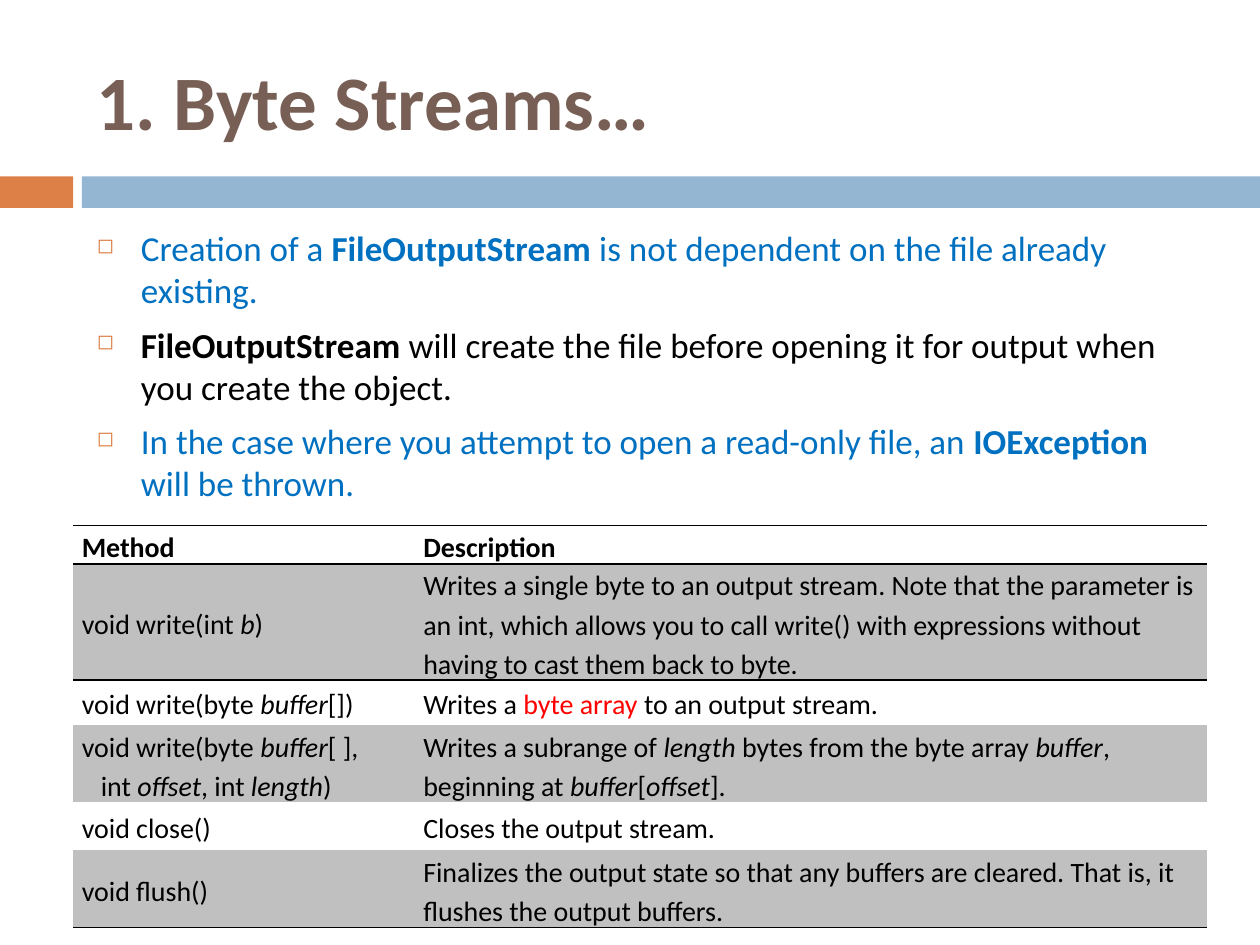
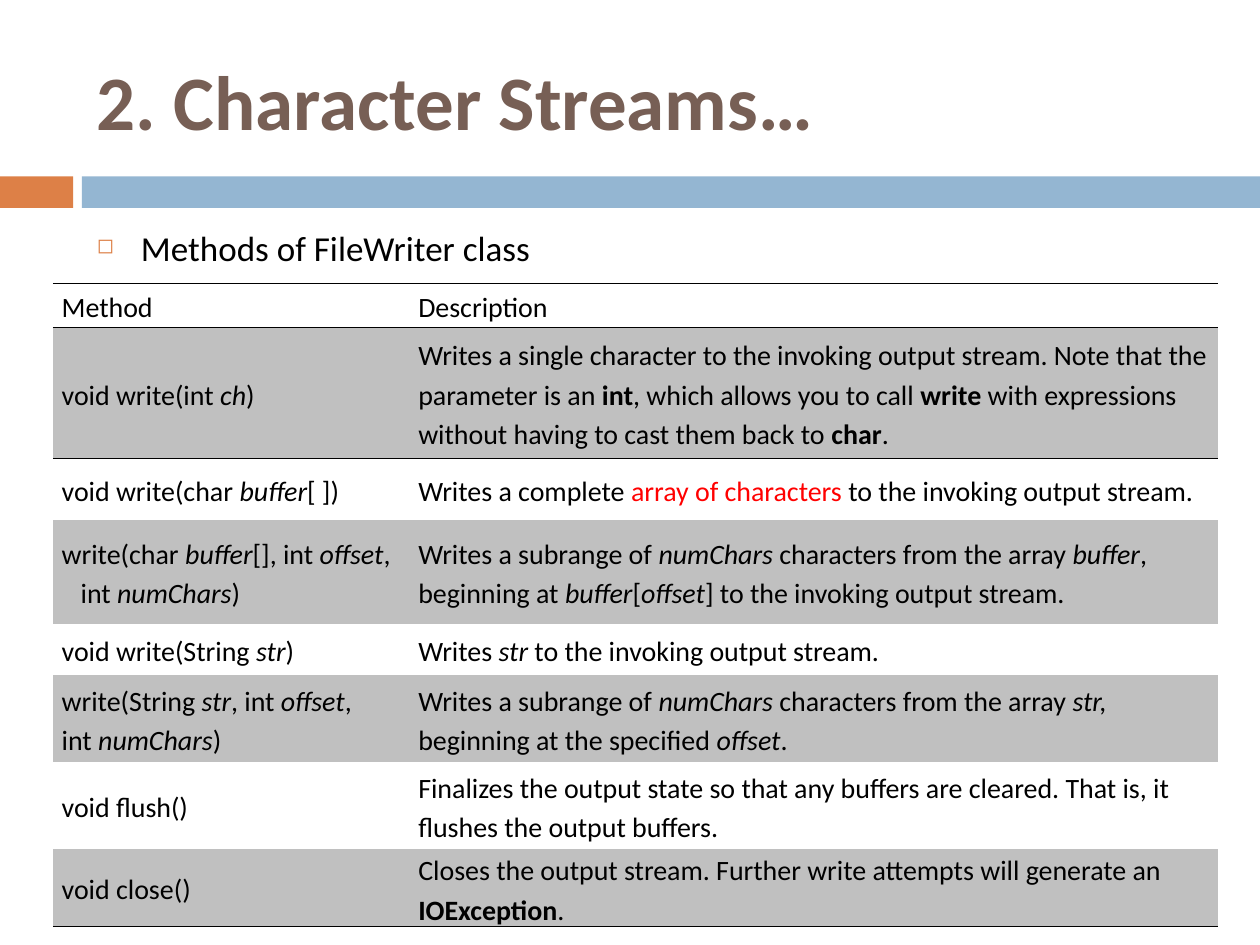
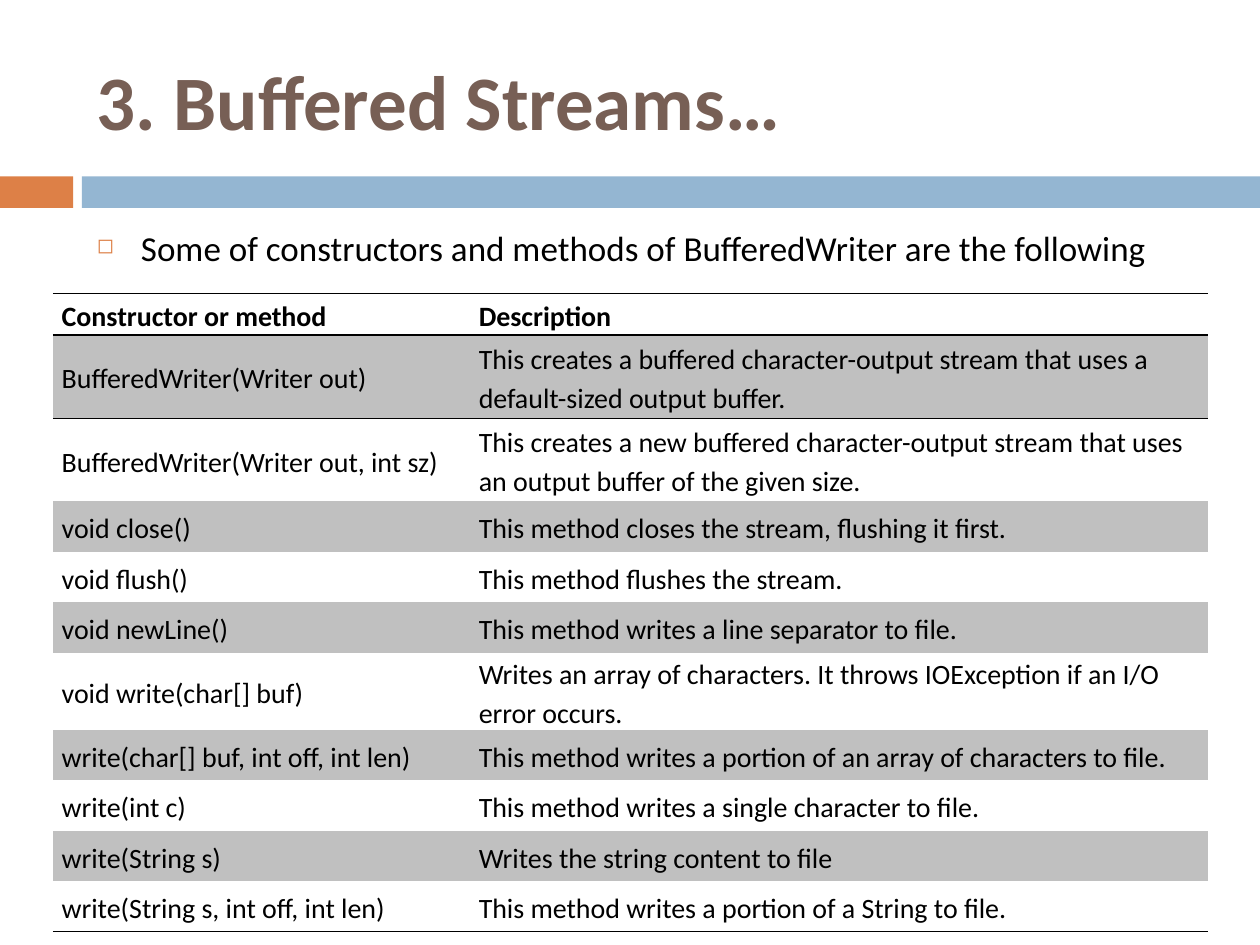
"""Build three slides on the methods of output streams."""
from dataclasses import dataclass
from typing import NamedTuple

from lxml.etree import SubElement as Sub
from pptx import Presentation
from pptx.dml.color import RGBColor
from pptx.enum.shapes import MSO_SHAPE as Shape
from pptx.enum.text import MSO_ANCHOR as Anchor
from pptx.oxml.ns import qn
from pptx.util import Inches, Length, Pt

BLACK = RGBColor(0x00, 0x00, 0x00)
WHITE = RGBColor(0xFF, 0xFF, 0xFF)
BLUE = RGBColor(0x00, 0x70, 0xC0)
RED = RGBColor(0xFF, 0x00, 0x00)
GREY = RGBColor(0xC0, 0xC0, 0xC0)
BROWN = RGBColor(0x77, 0x5F, 0x55)
ORANGE = RGBColor(0xDD, 0x80, 0x47)
SKY = RGBColor(0x94, 0xB6, 0xD2)
FONT = "Calibri"
PLAIN_STYLE = "{2D5ABB26-0587-4C30-8999-92F81FD0307C}"


class Run(NamedTuple):
    """A piece of text in one style."""
    text: str
    bold: bool = False
    slant: bool = False
    color: RGBColor = BLACK


class Para(NamedTuple):
    """A line of runs with a left indent."""
    runs: tuple[Run, ...]
    indent: Length = Inches(0)


class Band(NamedTuple):
    """A filled bar below the title."""
    left: Length
    width: Length
    color: RGBColor


class Row(NamedTuple):
    """A table row: height, method and what it does."""
    height: float
    name: tuple[Para, ...]
    note: tuple[Para, ...]


@dataclass(frozen=True)
class Grid:
    """A table with its place, column widths and rows."""
    left: float
    top: float
    cols: tuple[float, float]
    rows: list[Row]


@dataclass(frozen=True)
class Page:
    """All that differs from slide to slide."""
    title: str
    points: list[Para]
    grid: Grid


BANDS = (
    Band(Inches(0), Inches(0.58), ORANGE),
    Band(Inches(0.65), Inches(9.35), SKY),
)


def bold(text: str, color: RGBColor = BLACK) -> Run:
    """Return a bold run."""
    return Run(text, bold=True, color=color)


def slant(text: str) -> Run:
    """Return an italic run."""
    return Run(text, slant=True)


def red(text: str) -> Run:
    """Return a red run."""
    return Run(text, color=RED)


def blue(text: str) -> Run:
    """Return a blue run."""
    return Run(text, color=BLUE)


def line(*parts: str | Run, indent: float = 0) -> Para:
    """Return a paragraph of plain strings and styled runs."""
    runs = tuple(Run(part) if isinstance(part, str) else part for part in parts)
    return Para(runs, Inches(indent))


def cell(*parts: str | Run) -> tuple[Para, ...]:
    """Return cell text of one paragraph."""
    return (line(*parts),)


def plain(height: float, name: str, note: str) -> Row:
    """Return a row of unstyled text."""
    return Row(height, cell(name), cell(note))


def add_runs(target, runs: tuple[Run, ...], size: int) -> None:
    """Write runs into a paragraph."""
    for run in runs:
        piece = target.add_run()
        piece.text = run.text
        font = piece.font
        font.name, font.size = FONT, Pt(size)
        font.bold, font.italic = run.bold, run.slant
        font.color.rgb = run.color


def next_para(frame, index: int):
    """Return the first paragraph or a new one."""
    return frame.add_paragraph() if index else frame.paragraphs[0]


def add_box(slide, top: float, height: float):
    """Add a wrapped text box and return its frame."""
    box = slide.shapes.add_textbox(Inches(0.67), Inches(top), Inches(8.92), Inches(height))
    box.text_frame.word_wrap = True
    return box.text_frame


def add_title(slide, title: str) -> None:
    """Write the slide title."""
    frame = add_box(slide, 0.25, 1.08)
    frame.vertical_anchor = Anchor.MIDDLE
    add_runs(frame.paragraphs[0], (bold(title, BROWN),), 44)


def add_band(slide, band: Band) -> None:
    """Draw one bar."""
    bar = slide.shapes.add_shape(Shape.RECTANGLE, band.left, Inches(1.4), band.width, Inches(0.25))
    bar.shadow.inherit = False
    bar.fill.solid()
    bar.fill.fore_color.rgb = band.color
    bar.line.fill.background()


def set_bullet(para) -> None:
    """Give a paragraph a hollow square bullet."""
    props = para._p.get_or_add_pPr()
    props.set("marL", str(Inches(0.35)))
    props.set("indent", str(-Inches(0.35)))
    Sub(Sub(props, qn("a:buClr")), qn("a:srgbClr"), val=str(ORANGE))
    Sub(props, qn("a:buSzPct"), val="60000")
    Sub(props, qn("a:buChar"), char="◻")


def add_points(slide, points: list[Para]) -> None:
    """Write the bulleted text."""
    frame = add_box(slide, 1.75, 5.75)
    for index, point in enumerate(points):
        para = next_para(frame, index)
        para.space_before = Pt(7)
        set_bullet(para)
        add_runs(para, point.runs, 20)


def add_edge(spot, side: str) -> None:
    """Draw a thin black line on one side of a cell."""
    edge = Sub(spot._tc.get_or_add_tcPr(), qn(f"a:{side}"), w=str(Pt(1)))
    Sub(Sub(edge, qn("a:solidFill")), qn("a:srgbClr"), val=str(BLACK))


def fill_cell(spot, paras: tuple[Para, ...], shade: bool) -> None:
    """Fill a cell and write its text."""
    spot.vertical_anchor = Anchor.MIDDLE
    spot.margin_left = spot.margin_right = Inches(0.07)
    spot.margin_top = spot.margin_bottom = 0
    if shade:
        spot.fill.solid()
        spot.fill.fore_color.rgb = GREY
    else:
        spot.fill.background()
    for index, item in enumerate(paras):
        para = next_para(spot.text_frame, index)
        para.line_spacing = 1.15
        if item.indent:
            para._p.get_or_add_pPr().set("marL", str(item.indent))
        add_runs(para, item.runs, 16)


def add_grid(slide, grid: Grid) -> None:
    """Draw the table of methods with shaded odd rows."""
    count = len(grid.rows)
    height = sum(row.height for row in grid.rows)
    frame = slide.shapes.add_table(count, 2, Inches(grid.left), Inches(grid.top),
                                   Inches(sum(grid.cols)), Inches(height))
    table = frame.table
    table.first_row = table.horz_banding = False
    for style in frame.element.iter(qn("a:tableStyleId")):
        style.text = PLAIN_STYLE
    for col, width in zip(table.columns, grid.cols):
        col.width = Inches(width)
    for index, row in enumerate(grid.rows):
        table.rows[index].height = Inches(row.height)
        for col, paras in enumerate((row.name, row.note)):
            spot = table.cell(index, col)
            if index < 2:
                add_edge(spot, "lnT")
            if index in (0, count - 1):
                add_edge(spot, "lnB")
            fill_cell(spot, paras, index % 2 == 1)


def add_page(deck, page: Page) -> None:
    """Build one slide."""
    slide = deck.slides.add_slide(deck.slide_layouts[6])
    slide.background.fill.solid()
    slide.background.fill.fore_color.rgb = WHITE
    for band in BANDS:
        add_band(slide, band)
    add_title(slide, page.title)
    add_points(slide, page.points)
    add_grid(slide, page.grid)


FLUSH = "Finalizes the output state so that any buffers are cleared. That is, it flushes the output buffers."

BYTES = Page(
    "1. Byte Streams…",
    [
        line(blue("Creation of a "), bold("FileOutputStream ", BLUE),
             blue("is not dependent on the file already existing.")),
        line(bold("FileOutputStream "),
             "will create the file before opening it for output when you create the object."),
        line(blue("In the case where you attempt to open a read-only file, an "),
             bold("IOException ", BLUE), blue("will be thrown.")),
    ],
    Grid(0.58, 4.17, (2.71, 6.29), [
        Row(0.27, cell(bold("Method")), cell(bold("Description"))),
        Row(0.81, cell("void write(int ", slant("b"), ")"),
            cell("Writes a single byte to an output stream. Note that the parameter is an int, "
                 "which allows you to call write() with expressions without having to cast "
                 "them back to byte.")),
        Row(0.36, cell("void write(byte ", slant("buffer"), "[])"),
            cell("Writes a ", red("byte array "), "to an output stream.")),
        Row(0.58, (line("void write(byte ", slant("buffer"), "[ ],"),
                   line("int ", slant("offset"), ", int ", slant("length"), ")", indent=0.15)),
            cell("Writes a subrange of ", slant("length "), "bytes from the byte array ",
                 slant("buffer"), ", beginning at ", slant("buffer"), "[", slant("offset"), "].")),
        plain(0.38, "void close()", "Closes the output stream."),
        plain(0.58, "void flush()", FLUSH),
    ]),
)

CHARS = Page(
    "2. Character Streams…",
    [line("Methods of FileWriter class")],
    Grid(0.42, 2.25, (2.83, 6.42), [
        plain(0.35, "Method", "Description"),
        Row(1.04, cell("void write(int ", slant("ch"), ")"),
            cell("Writes a single character to the invoking output stream. Note that the "
                 "parameter is an ", bold("int"), ", which allows you to call ", bold("write "),
                 "with expressions without having to cast them back to ", bold("char"), ".")),
        Row(0.49, cell("void write(char ", slant("buffer"), "[ ])"),
            cell("Writes a complete ", red("array of characters "),
                 "to the invoking output stream.")),
        Row(0.82, (line("write(char ", slant("buffer"), "[], int ", slant("offset"), ","),
                   line("int ", slant("numChars"), ")", indent=0.15)),
            cell("Writes a subrange of ", slant("numChars "), "characters from the array ",
                 slant("buffer"), ", beginning at ", slant("buffer"), "[", slant("offset"),
                 "] to the invoking output stream.")),
        Row(0.41, cell("void write(String ", slant("str"), ")"),
            cell("Writes ", slant("str "), "to the invoking output stream.")),
        Row(0.69, (line("write(String ", slant("str"), ", int ", slant("offset"), ","),
                   line("int ", slant("numChars"), ")")),
            cell("Writes a subrange of ", slant("numChars "), "characters from the array ",
                 slant("str, "), "beginning at the specified ", slant("offset"), ".")),
        plain(0.69, "void flush()", FLUSH),
        Row(0.35, cell("void close()"),
            cell("Closes the output stream. Further write attempts will generate an ",
                 bold("IOException"), ".")),
    ]),
)

BUFFERS = Page(
    "3. Buffered Streams…",
    [line("Some of constructors and methods of BufferedWriter are the following")],
    Grid(0.42, 2.33, (3.31, 5.86), [
        Row(0.33, cell(bold("Constructor or method")), cell(bold("Description"))),
        plain(0.66, "BufferedWriter(Writer out)",
              "This creates a buffered character-output stream that uses a default-sized output buffer."),
        plain(0.66, "BufferedWriter(Writer out, int sz)",
              "This creates a new buffered character-output stream that uses an output buffer "
              "of the given size."),
        plain(0.4, "void close()", "This method closes the stream, flushing it first."),
        plain(0.4, "void flush()", "This method flushes the stream."),
        plain(0.4, "void newLine()", "This method writes a line separator to file."),
        plain(0.57, "void write(char[] buf)",
              "Writes an array of characters. It throws IOException if an I/O error occurs."),
        plain(0.4, "write(char[] buf, int off, int len)",
              "This method writes a portion of an array of characters to file."),
        plain(0.4, "write(int c)", "This method writes a single character to file."),
        plain(0.4, "write(String s)", "Writes the string content to file"),
        plain(0.4, "write(String s, int off, int len)",
              "This method writes a portion of a String to file."),
    ]),
)


def main() -> None:
    """Build the deck and save it."""
    deck = Presentation()
    deck.slide_width, deck.slide_height = Inches(10), Inches(7.5)
    for page in (BYTES, CHARS, BUFFERS):
        add_page(deck, page)
    deck.save("out.pptx")


if __name__ == "__main__":
    main()
